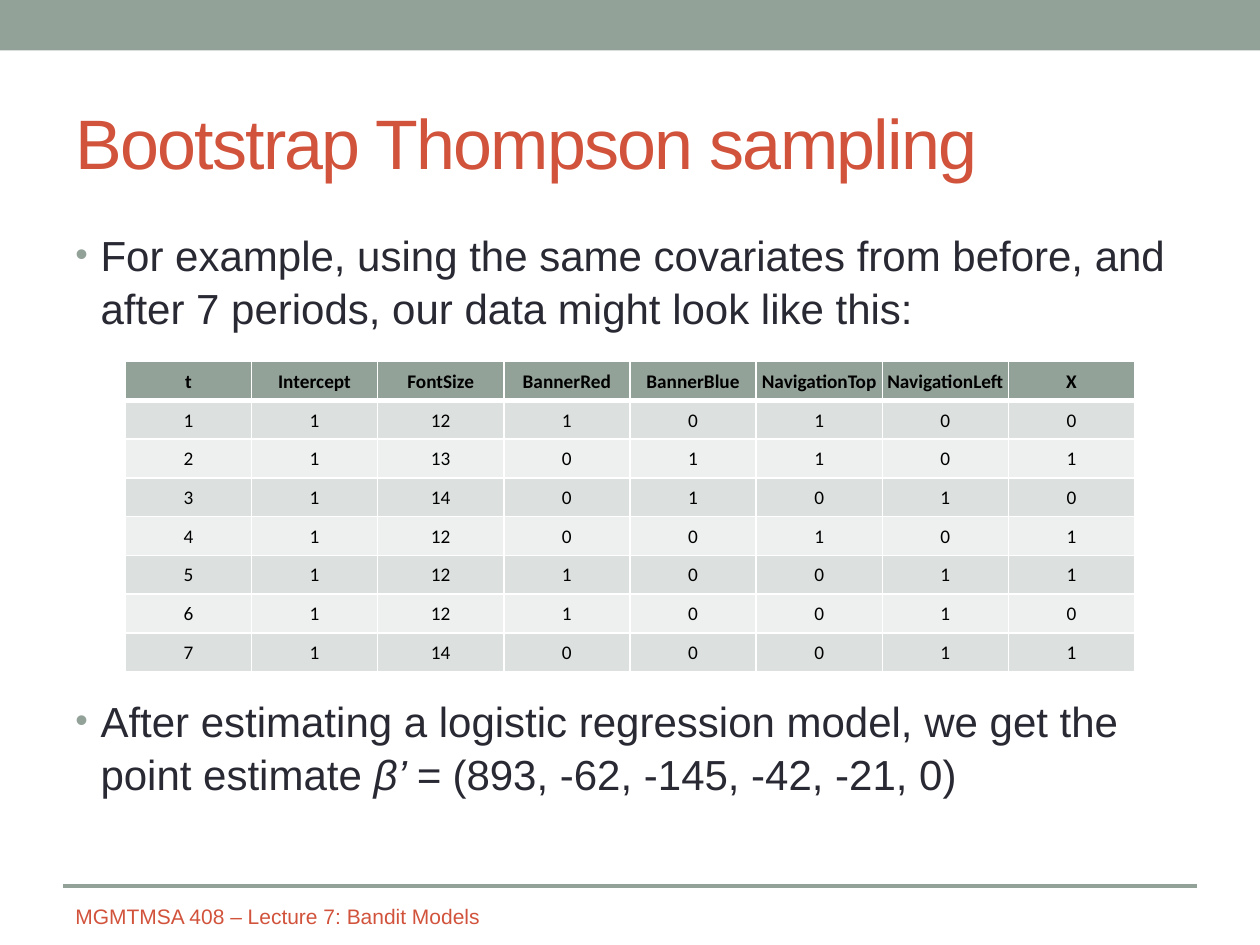
from lxml import etree
from pptx import Presentation
from pptx.dml.color import RGBColor
from pptx.enum.shapes import MSO_CONNECTOR, MSO_SHAPE
from pptx.enum.text import MSO_ANCHOR, PP_ALIGN
from pptx.oxml.ns import qn
from pptx.util import Inches, Pt

RECTANGLE = MSO_SHAPE.RECTANGLE
STRAIGHT = MSO_CONNECTOR.STRAIGHT
TOP, MIDDLE = MSO_ANCHOR.TOP, MSO_ANCHOR.MIDDLE
CENTER = PP_ALIGN.CENTER

COLORS = {"sage": "93A299", "rust": "D2533C", "ink": "292934", "black": "000000",
          "white": "FFFFFF", "band_dark": "DCE0DE", "band_light": "EEF0EF"}
COLUMNS, ROWS = 20, 15  # layout grid of half-inch cells

HEADERS = ["t", "Intercept", "FontSize", "BannerRed", "BannerBlue",
           "NavigationTop", "NavigationLeft", "X"]
PERIODS = [
    [1, 1, 12, 1, 0, 1, 0, 0],
    [2, 1, 13, 0, 1, 1, 0, 1],
    [3, 1, 14, 0, 1, 0, 1, 0],
    [4, 1, 12, 0, 0, 1, 0, 1],
    [5, 1, 12, 1, 0, 0, 1, 1],
    [6, 1, 12, 1, 0, 0, 1, 0],
    [7, 1, 14, 0, 0, 0, 1, 1],
]


def rgb(name):
    return RGBColor.from_string(COLORS[name])


class SlideBuilder:
    """Holds the style and the current slide; positions are grid columns and rows."""

    font = "Arial"
    table_font = "Calibri"

    def __init__(self, presentation):
        self.slide = presentation.slides.add_slide(presentation.slide_layouts[6])
        self.cell_width = presentation.slide_width / COLUMNS
        self.cell_height = presentation.slide_height / ROWS

    def place(self, column, row, width, height):
        return (round(column * self.cell_width), round(row * self.cell_height),
                round(width * self.cell_width), round(height * self.cell_height))

    def add_run(self, paragraph, text, size, color, font=None, bold=False, italic=False):
        run = paragraph.add_run()
        run.text = text
        run.font.name = font or self.font
        run.font.size = Pt(size)
        run.font.bold = bold
        run.font.italic = italic
        run.font.color.rgb = rgb(color)
        return run

    def band(self, area, color):
        shape = self.slide.shapes.add_shape(RECTANGLE, *self.place(*area))
        shape.shadow.inherit = False
        shape.fill.solid()
        shape.fill.fore_color.rgb = rgb(color)
        shape.line.fill.background()

    def text_frame(self, area, anchor):
        frame = self.slide.shapes.add_textbox(*self.place(*area)).text_frame
        frame.word_wrap = True
        frame.vertical_anchor = anchor
        return frame

    def heading(self, area, text, size, color, spacing=0):
        frame = self.text_frame(area, MIDDLE)
        run = self.add_run(frame.paragraphs[0], text, size, color)
        if spacing:
            run.font._element.set("spc", str(spacing * 100))

    def bullets(self, area, items, size, color):
        """Each item is (points before, [(text, italic), ...])."""
        frame = self.text_frame(area, TOP)
        for index, (space_before, runs) in enumerate(items):
            paragraph = frame.add_paragraph() if index else frame.paragraphs[0]
            paragraph.space_before = Pt(space_before)
            paragraph.line_spacing = 1.05
            self.add_bullet(paragraph)
            for text, italic in runs:
                self.add_run(paragraph, text, size, color, italic=italic)

    def add_bullet(self, paragraph):
        properties = paragraph._p.get_or_add_pPr()
        properties.set("marL", str(Inches(0.2)))
        properties.set("indent", str(-Inches(0.2)))
        bullet_color = etree.SubElement(properties, qn("a:buClr"))
        etree.SubElement(bullet_color, qn("a:srgbClr"), val=COLORS["sage"])
        etree.SubElement(properties, qn("a:buSzPct"), val="85000")
        etree.SubElement(properties, qn("a:buFont"), typeface=self.font)
        etree.SubElement(properties, qn("a:buChar"), char="•")

    def rule(self, column, row, width, color, weight):
        left, top, length, _ = self.place(column, row, width, 0)
        line = self.slide.shapes.add_connector(STRAIGHT, left, top, left + length, top)
        line.line.color.rgb = rgb(color)
        line.line.width = Pt(weight)
        etree.SubElement(line._element.spPr, qn("a:effectLst"))

    def table(self, area, records, size):
        frame = self.slide.shapes.add_table(len(records), len(records[0]), *self.place(*area))
        for row, record in enumerate(records):
            is_header = row == 0
            fill = "sage" if is_header else ("band_light", "band_dark")[row % 2]
            for column, value in enumerate(record):
                cell = frame.table.cell(row, column)
                cell.margin_left = cell.margin_right = cell.margin_top = Inches(0.01)
                cell.margin_bottom = 0
                cell.vertical_anchor = MIDDLE
                paragraph = cell.text_frame.paragraphs[0]
                paragraph.alignment = CENTER
                self.add_run(paragraph, str(value), size, "black", self.table_font, is_header)
                self.add_borders(cell, top=3 if row == 1 else 1, bottom=3 if is_header else 1)
                cell.fill.solid()
                cell.fill.fore_color.rgb = rgb(fill)

    def add_borders(self, cell, top, bottom):
        properties = cell._tc.get_or_add_tcPr()
        for side, weight in (("L", 1), ("R", 1), ("T", top), ("B", bottom)):
            border = etree.SubElement(properties, qn(f"a:ln{side}"), w=str(Pt(weight)))
            fill = etree.SubElement(border, qn("a:solidFill"))
            etree.SubElement(fill, qn("a:srgbClr"), val=COLORS["white"])


def main():
    presentation = Presentation()
    presentation.slide_width, presentation.slide_height = Inches(10), Inches(7.5)
    builder = SlideBuilder(presentation)

    # Top band and title
    builder.band((0, 0, COLUMNS, 0.8), "sage")
    builder.heading((1, 1.16, 18, 2.16), "Bootstrap Thompson sampling", 40, "rust", spacing=-1)

    # Bullets, with room between them for the table
    builder.bullets((1, 3.5, 18, 10.46), [
        (0, [("For example, using the same covariates from before, and after 7 periods, "
              "our data might look like this:", False)]),
        (206, [("After estimating a logistic regression model, we get the point estimate ", False),
               ("β’ = ", True),
               ("(893, -62, -145, -42, -21, 0)", False)]),
    ], 24, "ink")

    # Footer
    builder.heading((1, 14.18, 9, 0.72), "MGMTMSA 408 – Lecture 7: Bandit Models", 12, "rust")
    builder.rule(1, 14.06, 18, "sage", 2.08)

    # Data table
    builder.table((1.99, 5.74, 16.02, 4.92), [HEADERS] + PERIODS, 11)

    presentation.save("out.pptx")


if __name__ == "__main__":
    main()
